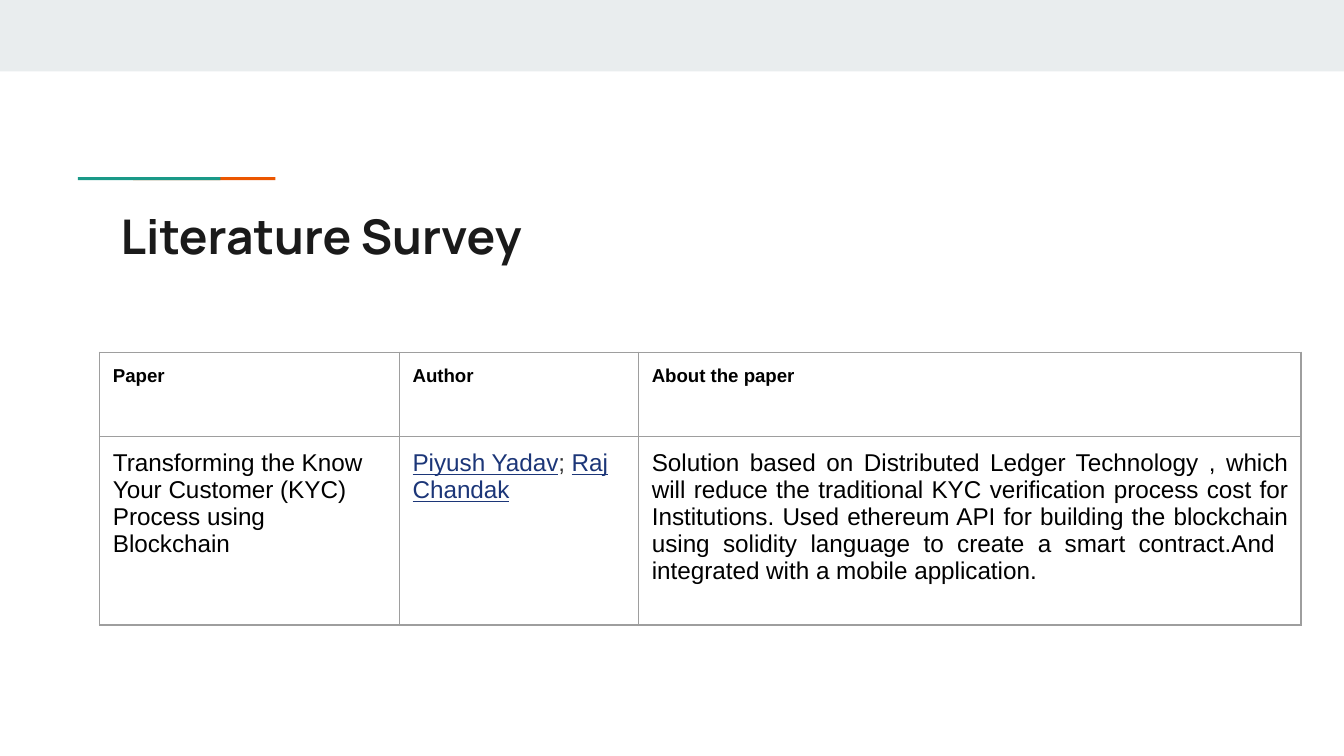
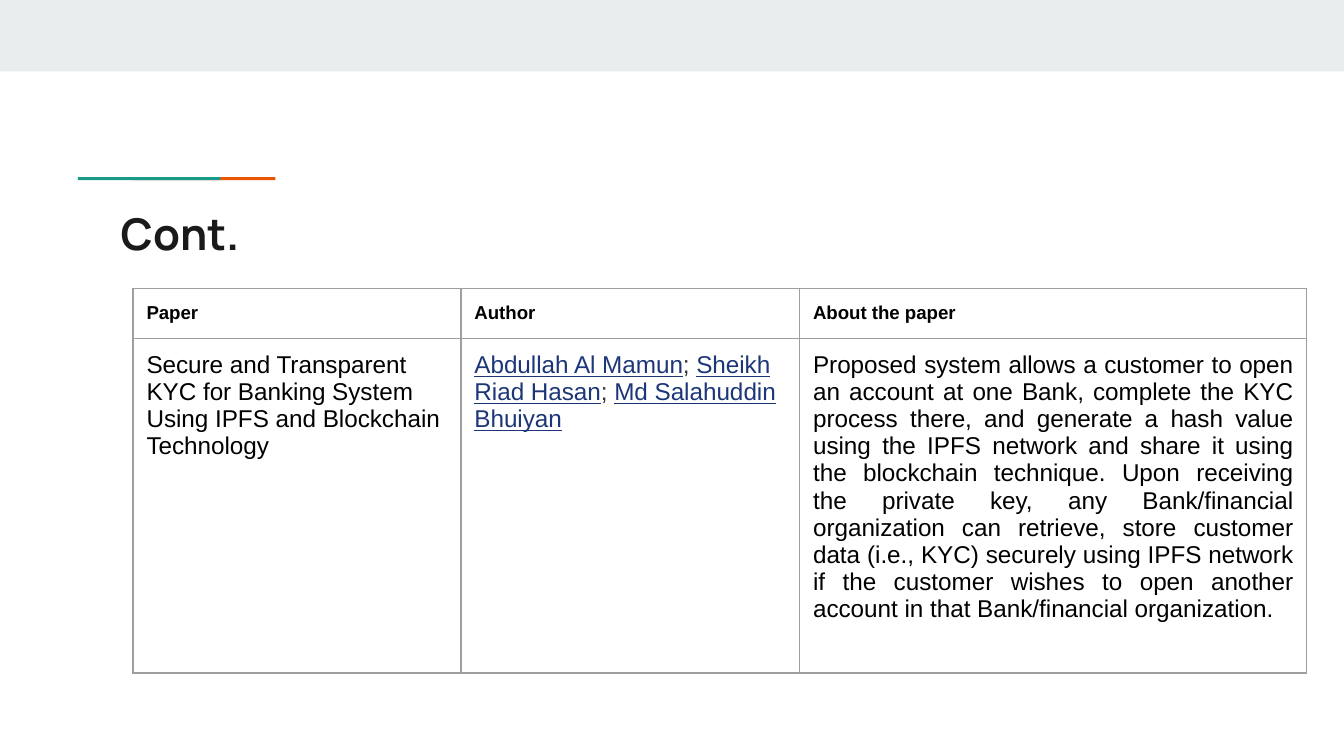
from dataclasses import dataclass

import pptx
import pptx.dml.color
import pptx.enum.shapes
import pptx.enum.text
import pptx.oxml
import pptx.oxml.ns
import pptx.util
from lxml import etree

RGBColor = pptx.dml.color.RGBColor
PP_ALIGN = pptx.enum.text.PP_ALIGN
Pt = pptx.util.Pt
qn = pptx.oxml.ns.qn

WHITE = RGBColor(0xFF, 0xFF, 0xFF)
BLACK = RGBColor(0x00, 0x00, 0x00)
BAND = RGBColor(0xE9, 0xED, 0xEE)
ORANGE = RGBColor(0xEB, 0x56, 0x00)
TEAL = RGBColor(0x1A, 0x99, 0x88)
TITLE = RGBColor(0x1A, 0x1A, 0x1A)
LINK = RGBColor(0x1C, 0x36, 0x78)
SEPARATOR = RGBColor(0x33, 0x33, 0x33)
BORDER = RGBColor(0x9E, 0x9E, 0x9E)

TITLE_FONT, BODY_FONT = "Manrope", "Arial"
HEADINGS = ("Paper", "Author", "About the paper")
SLIDE_W, SLIDE_H = pptx.util.Inches(10), pptx.util.Inches(5.625)
INSET = pptx.util.Inches(0.1)


@dataclass(frozen=True)
class Box:
    """A rectangle in percent of the slide's width and height."""
    left: float
    top: float
    width: float
    height: float


@dataclass(frozen=True)
class Bar:
    box: Box
    color: RGBColor


@dataclass(frozen=True)
class Survey:
    """One slide; table lengths are percent of the slide's size."""
    title: str
    title_size: float
    left: float
    top: float
    columns: tuple[float, ...]
    rows: tuple[float, ...]
    paper: str
    authors: tuple[str, ...]
    about: str


BARS = (
    Bar(Box(0, 0, 100, 9.45), BAND),
    Bar(Box(9.9, 23.42, 10.6, 0.4), ORANGE),
    Bar(Box(5.8, 23.42, 10.6, 0.4), TEAL),
)
TITLE_BOX = Box(8, 25.6, 84.1, 10.5)

SURVEYS = (
    Survey(
        "Literature Survey", 25.6, 7.4, 46.6, (22.3, 17.8, 49.3), (11.1, 25),
        "Transforming the Know Your Customer (KYC) Process using Blockchain",
        ("Piyush Yadav", "Raj Chandak"),
        "Solution based on Distributed Ledger Technology , which will reduce "
        "the traditional KYC verification process cost for Institutions. Used "
        "ethereum API for building the blockchain using solidity language to "
        "create a smart contract.And  integrated with a mobile application.",
    ),
    Survey(
        "Cont.", 23.4, 9.9, 38.2, (24.4, 25.2, 37.7), (6, 44.3),
        "Secure and Transparent KYC for Banking System Using IPFS and "
        "Blockchain Technology",
        ("Abdullah Al Mamun", "Sheikh Riad Hasan", "Md Salahuddin Bhuiyan"),
        "Proposed system allows a customer to open an account at one Bank, "
        "complete the KYC process there, and generate a hash value using the "
        "IPFS network and share it using the blockchain technique. Upon "
        "receiving the private key, any Bank/financial organization can "
        "retrieve, store customer data (i.e., KYC) securely using IPFS network "
        "if the customer wishes to open another account in that "
        "Bank/financial organization.",
    ),
)


def across(percent: float) -> int:
    return round(SLIDE_W * percent / 100)


def down(percent: float) -> int:
    return round(SLIDE_H * percent / 100)


def place(box: Box) -> tuple[int, int, int, int]:
    return across(box.left), down(box.top), across(box.width), down(box.height)


def set_font(p, name: str, size: float, color: RGBColor, bold: bool) -> None:
    p.font.name, p.font.size, p.font.bold = name, Pt(size), bold
    p.font.color.rgb = color


def add_bar(slide, bar: Bar) -> None:
    sp = slide.shapes.add_shape(
        pptx.enum.shapes.MSO_SHAPE.RECTANGLE, *place(bar.box))
    sp.shadow.inherit = False
    sp.fill.solid()
    sp.fill.fore_color.rgb = bar.color
    sp.line.fill.background()


def add_title(slide, text: str, size: float) -> None:
    tf = slide.shapes.add_textbox(*place(TITLE_BOX)).text_frame
    tf.word_wrap = True
    tf.margin_left = tf.margin_right = tf.margin_top = tf.margin_bottom = INSET
    p = tf.paragraphs[0]
    p.text = text
    set_font(p, TITLE_FONT, size, TITLE, True)


def add_solid_fill(parent, color: RGBColor) -> None:
    fill = etree.SubElement(parent, qn("a:solidFill"))
    etree.SubElement(fill, qn("a:srgbClr"), val=str(color))


def style_cell(cell) -> None:
    cell.margin_left = cell.margin_right = INSET
    cell.margin_top = cell.margin_bottom = INSET
    cell.fill.background()
    properties = cell._tc.get_or_add_tcPr()
    for i, side in enumerate(("lnL", "lnR", "lnT", "lnB")):
        line = etree.Element(qn(f"a:{side}"), w=str(Pt(0.75)))
        add_solid_fill(line, BORDER)
        properties.insert(i, line)


def add_author_run(p, text: str, color: RGBColor, underline: bool) -> None:
    r = p.add_run()
    r.text = text
    r.font.color.rgb = color
    r.font.underline = underline
    highlight = etree.SubElement(r.font._element, qn("a:highlight"))
    etree.SubElement(highlight, qn("a:srgbClr"), val=str(WHITE))


def write_authors(p, authors: tuple[str, ...]) -> None:
    for i, author in enumerate(authors):
        if i:
            add_author_run(p, "; ", SEPARATOR, False)
        add_author_run(p, author, LINK, True)


def add_survey_table(slide, survey: Survey) -> None:
    box = Box(survey.left, survey.top, sum(survey.columns), sum(survey.rows))
    table = slide.shapes.add_table(
        len(survey.rows), len(survey.columns), *place(box)).table
    table.first_row = table.horz_banding = False
    for column, width in zip(table.columns, survey.columns):
        column.width = across(width)
    for row, height in zip(table.rows, survey.rows):
        row.height = down(height)
    for cell in table.iter_cells():
        style_cell(cell)

    for cell, heading in zip(table.rows[0].cells, HEADINGS):
        p = cell.text_frame.paragraphs[0]
        p.text = heading
        set_font(p, BODY_FONT, 10, BLACK, True)

    paper, authors, about = (
        cell.text_frame.paragraphs[0] for cell in table.rows[1].cells)
    paper.text = survey.paper
    write_authors(authors, survey.authors)
    about.text = survey.about
    about.alignment = PP_ALIGN.JUSTIFY
    for p in (paper, authors, about):
        set_font(p, BODY_FONT, 13, BLACK, False)


def add_survey_slide(prs, survey: Survey) -> None:
    slide = prs.slides.add_slide(prs.slide_layouts[6])
    slide.background.fill.solid()
    slide.background.fill.fore_color.rgb = WHITE
    for bar in BARS:
        add_bar(slide, bar)
    add_title(slide, survey.title, survey.title_size)
    add_survey_table(slide, survey)


def main() -> None:
    prs = pptx.Presentation()
    prs.slide_width, prs.slide_height = SLIDE_W, SLIDE_H
    for survey in SURVEYS:
        add_survey_slide(prs, survey)
    prs.save("out.pptx")


if __name__ == "__main__":
    main()
